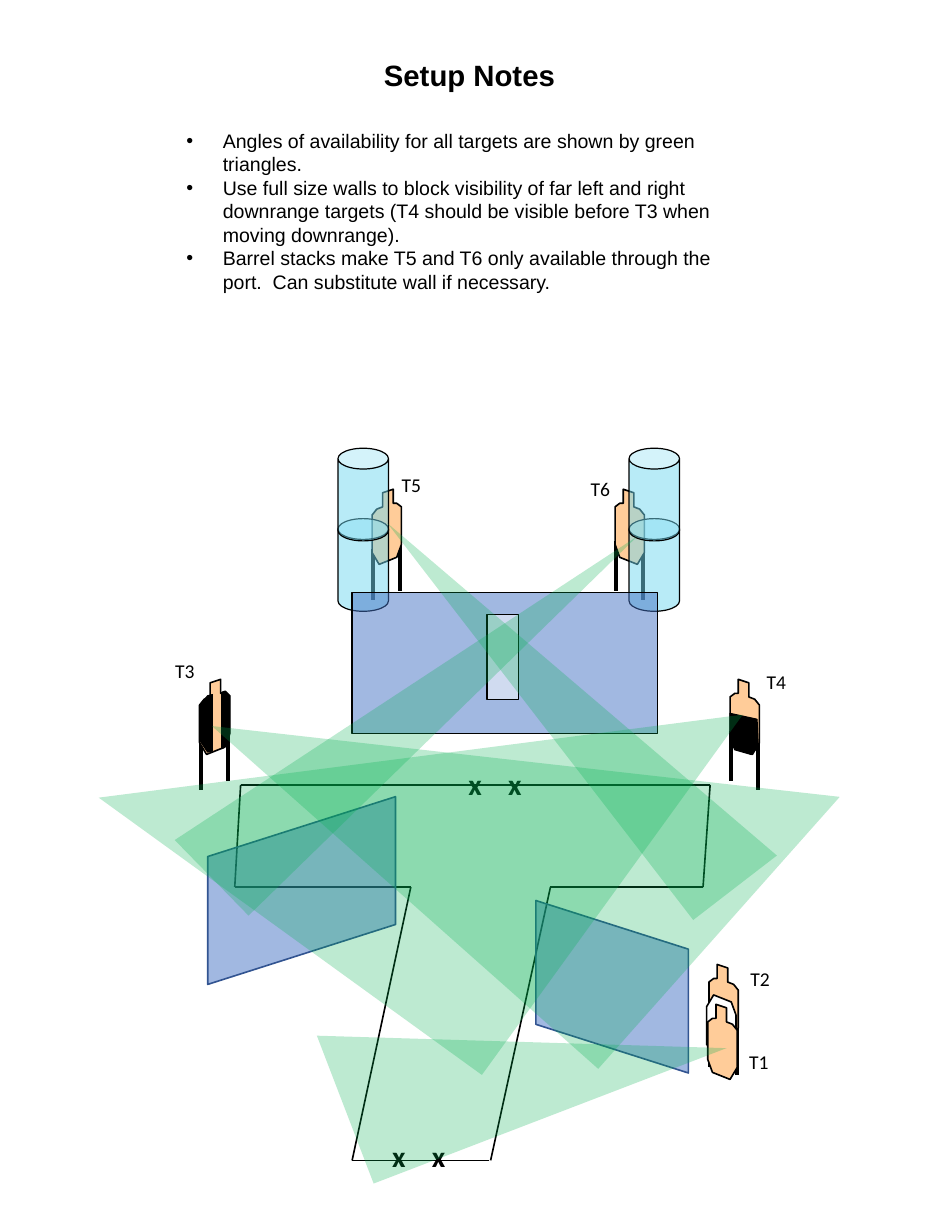
from itertools import pairwise

from lxml import etree
from pptx import Presentation
from pptx.dml.color import RGBColor
from pptx.enum.shapes import MSO_CONNECTOR, MSO_SHAPE
from pptx.enum.text import MSO_AUTO_SIZE, PP_ALIGN
from pptx.oxml.ns import qn
from pptx.util import Cm, Pt

STRAIGHT = MSO_CONNECTOR.STRAIGHT
CAN, RECTANGLE = MSO_SHAPE.CAN, MSO_SHAPE.RECTANGLE
SLANT, TRIANGLE = MSO_SHAPE.PARALLELOGRAM, MSO_SHAPE.ISOSCELES_TRIANGLE
FIT_TEXT = MSO_AUTO_SIZE.SHAPE_TO_FIT_TEXT
LEFT, CENTER = PP_ALIGN.LEFT, PP_ALIGN.CENTER

BLACK = RGBColor(0, 0, 0)
WHITE = RGBColor(255, 255, 255)
TAN = RGBColor(0xFF, 0xCC, 0x99)
BARREL_BLUE = RGBColor(0x73, 0xD9, 0xF1)
WALL_BLUE = RGBColor(0x44, 0x72, 0xC4)
WALL_EDGE = RGBColor(0x32, 0x54, 0x91)
GREEN = RGBColor(0x00, 0xB0, 0x50)

TITLE_FONT = {"name": "Arial", "size": Pt(18), "bold": True}
NOTE_FONT = {"name": "Arial", "size": Pt(12), "bold": False}
LABEL_FONT = {"name": "Calibri", "size": Pt(12), "bold": False}
MARK_FONT = {"name": "Calibri", "size": Pt(18), "bold": True}

GRID = 2.54
TARGET_WIDTH, TARGET_HEIGHT = 0.24, 0.63
OUTLINE = [(0.16, 0.03), (0.07, 0), (0.07, 0.12), (0.04, 0.12), (0, 0.15), (0, 0.47),
           (0.04, 0.58), (0.19, 0.64), (0.25, 0.54), (0.25, 0.22), (0.21, 0.17),
           (0.16, 0.15), (0.16, 0.03)]
LEGS = [(0.24, 0.51), (0.01, 0.44)]
LEG_LENGTH = 0.43
T3_COVERS = [
    [(0, 0.53), (0.06, 0.62), (0.1, 0.61), (0.1, 0.13), (0.06, 0.14), (0, 0.21)],
    [(0.18, 0.11), (0.21, 0.1), (0.25, 0.14), (0.25, 0.46), (0.22, 0.57), (0.18, 0.59)],
]
T4_COVERS = [[(0.24, 0.57), (0.18, 0.64), (0.04, 0.6), (0, 0.51), (0, 0.29),
              (0.23, 0.34)]]
NOTES = [
    "Angles of availability for all targets are shown by green triangles.",
    "Use full size walls to block visibility of far left and right downrange targets "
    "(T4 should be visible before T3 when moving downrange).",
    "Barrel stacks make T5 and T6 only available through the port.  "
    "Can substitute wall if necessary.",
]
COURSE = [(1.17, 3.2), (0, 3.2), (0.5, 0.87), (-1, 0.87), (-0.95, 0), (3.05, 0),
          (2.99, 0.87), (1.69, 0.87), (1.18, 3.2)]
ANGLES = [
    ((3.01, 3.55, 0.9, 4.63), 45.7, False),
    ((4.51, 3.74, 0.9, 4.27), 322.4, True),
    ((2.93, 4.29, 3.1, 4.4), 311.6, True),
    ((1.57, 4.55, 4.03, 3.79), 35.9, False),
    ((3.77, 7.27, 1.35, 3.22), 69, False),
]
LABELS = {"T1": (6.21, 8.9), "T2": (6.22, 8.19), "T3": (1.32, 5.57),
          "T4": (6.36, 5.66), "T5": (3.25, 3.98), "T6": (4.86, 4.02)}


def grid(*values):
    return [Cm(value * GRID) for value in values]


def draw_line(page, start, end, width):
    line = page.shapes.add_connector(STRAIGHT, *grid(*start, *end))
    line.line.color.rgb = BLACK
    line.line.width = Pt(width)
    etree.SubElement(line._element.spPr, qn("a:effectLst"))


def paint(shape, color, opacity=100, edge=None, width=0.75):
    shape.shadow.inherit = False
    shape.fill.solid()
    shape.fill.fore_color.rgb = color
    if opacity < 100:
        tint = shape._element.spPr.find(qn("a:solidFill"))[0]
        etree.SubElement(tint, qn("a:alpha"), val=str(opacity * 1000))
    if edge is None:
        shape.line.fill.background()
    else:
        shape.line.color.rgb = edge
        shape.line.width = Pt(width)


def draw_shape(page, kind, box, adjust=None, turn=0, flip=False, **look):
    shape = page.shapes.add_shape(kind, *grid(*box))
    if adjust is not None:
        shape.adjustments[0] = adjust
    shape.rotation = turn
    if flip:
        shape._element.spPr.xfrm.set("flipH", "1")
    paint(shape, **look)


def draw_outline(page, left, top, points, color, width):
    corners = [grid(left + x, top + y) for x, y in points]
    builder = page.shapes.build_freeform(*corners[0])
    builder.add_line_segments(corners[1:], close=True)
    paint(builder.convert_to_shape(), color, edge=BLACK, width=width)


def draw_target(page, left, top, mirror=False, covers=()):
    def across(x):
        return TARGET_WIDTH - x if mirror else x

    for x, y in LEGS:
        foot = left + across(x)
        draw_line(page, (foot, top + y), (foot, top + y + LEG_LENGTH), 2.25)
    draw_outline(page, left, top, [(across(x), y) for x, y in OUTLINE], TAN, 1)
    for cover in covers:
        draw_outline(page, left, top, cover, BLACK, 0)


def draw_paired_targets(page, left, top):
    draw_target(page, left + 0.01, top)
    inverted = [(TARGET_WIDTH - x, TARGET_HEIGHT - y) for x, y in OUTLINE]
    draw_outline(page, left, top + 0.27, inverted, WHITE, 1)
    draw_outline(page, left, top + 0.34, OUTLINE, TAN, 1)


def draw_course(page, left, top):
    corners = [(left + x, top + y) for x, y in COURSE]
    for start, end in pairwise(corners):
        draw_line(page, start, end, 1)


def draw_barrels(page, left, top):
    for drop in (0.6, 0):
        draw_shape(page, CAN, (left, top + drop, 0.43, 0.79), 0.413,
                   color=BARREL_BLUE, opacity=50, edge=BLACK)


def draw_port_wall(page, left, top):
    draw_shape(page, RECTANGLE, (left, top, 2.6, 1.2),
               color=WALL_BLUE, opacity=50, edge=BLACK)
    draw_shape(page, RECTANGLE, (left + 1.15, top + 0.19, 0.27, 0.72),
               color=WHITE, opacity=50, edge=BLACK)


def draw_text(page, box, lines, style, align=CENTER, bullets=False, tab=None):
    shape = page.shapes.add_textbox(*grid(*box))
    frame = shape.text_frame
    frame.word_wrap = True
    frame.auto_size = FIT_TEXT
    for number, line in enumerate(lines):
        para = frame.paragraphs[0] if number == 0 else frame.add_paragraph()
        para.alignment = align
        properties = para._p.get_or_add_pPr()
        if bullets:
            indent = Cm(0.31 * GRID)
            properties.set("marL", str(indent))
            properties.set("indent", str(-indent))
            etree.SubElement(properties, qn("a:buFont"), typeface="Arial")
            etree.SubElement(properties, qn("a:buChar"), char="•")
        if tab is not None:
            stops = etree.SubElement(properties, qn("a:tabLst"))
            etree.SubElement(stops, qn("a:tab"), pos=str(Cm(tab * GRID)), algn="l")
        span = para.add_run()
        span.text = line
        for name, value in style.items():
            setattr(span.font, name, value)
        span.font.color.rgb = BLACK
    return frame


def draw_start_marks(page, left, top):
    frame = draw_text(page, (left, top, 0.84, 0.4), ["x\tx"], MARK_FONT, LEFT, tab=0.34)
    frame.margin_left = Cm(0.19 * GRID)


def main():
    deck = Presentation()
    deck.slide_width, deck.slide_height = grid(8, 10.5)
    page = deck.slides.add_slide(deck.slide_layouts[6])
    draw_text(page, (2, 0.44, 4, 0.4), ["Setup Notes"], TITLE_FONT)
    draw_text(page, (1.49, 1.05, 5.02, 1.51), NOTES, NOTE_FONT, LEFT, bullets=True)
    draw_target(page, 1.71, 5.79, mirror=True, covers=T3_COVERS)
    draw_target(page, 5.24, 4.17)
    draw_target(page, 3.18, 4.17, mirror=True)
    draw_target(page, 6.22, 5.79, covers=T4_COVERS)
    draw_course(page, 3, 6.69)
    for left in (2.88, 5.36):
        draw_barrels(page, left, 3.82)
    draw_port_wall(page, 3, 5.05)
    draw_paired_targets(page, 6.03, 8.22)
    for left, top in ((3.15, 9.65), (3.8, 6.48)):
        draw_start_marks(page, left, top)
    for box, turn, flip in (((4.48, 7.76, 1.47, 1.3), 90, False),
                            ((1.77, 6.79, 1.6, 1.6), 270, True)):
        draw_shape(page, SLANT, box, 0.319, turn, flip,
                   color=WALL_BLUE, opacity=50, edge=WALL_EDGE, width=1)
    for box, turn, flip in ANGLES:
        draw_shape(page, TRIANGLE, box, 1, turn, flip, color=GREEN, opacity=26)
    for label, (left, top) in LABELS.items():
        draw_text(page, (left, top, 0.51, 0.3), [label], LABEL_FONT)
    deck.save("out.pptx")


if __name__ == "__main__":
    main()
